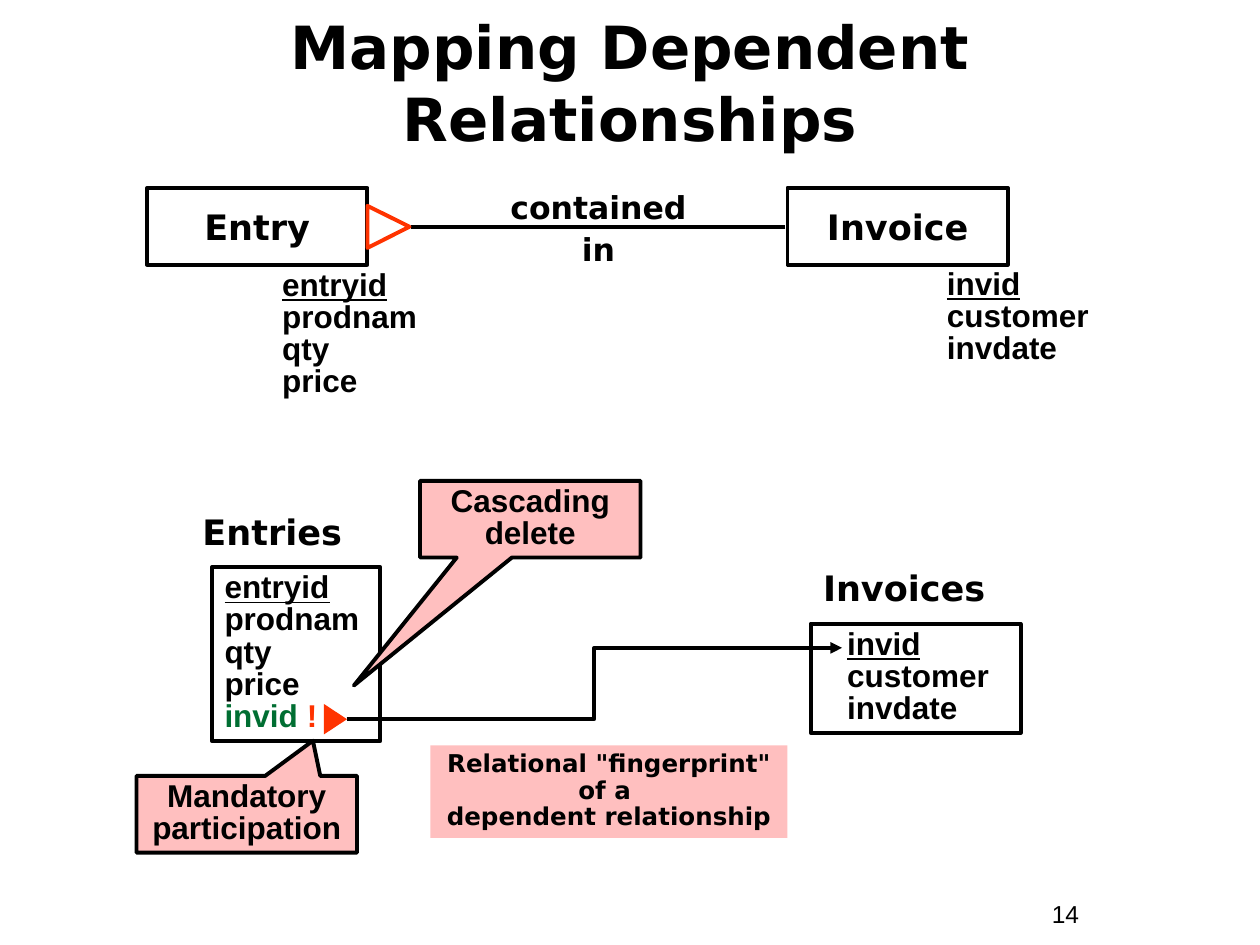
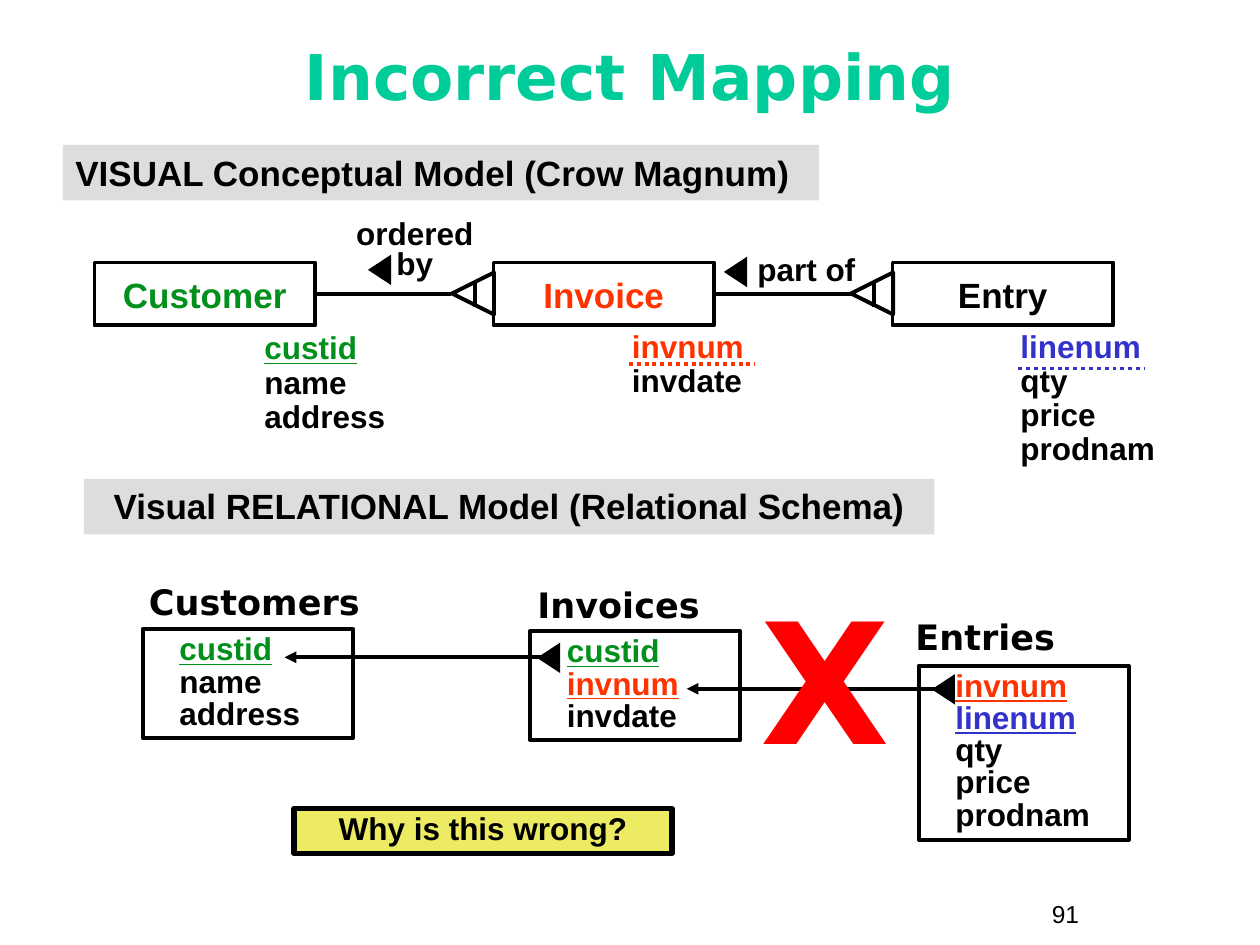
from dataclasses import dataclass

from lxml import etree
from pptx import Presentation, util as u
from pptx.dml.color import RGBColor
from pptx.enum import dml, shapes, text
from pptx.oxml import ns

CELL = u.Inches(10) / 120
BLACK = RGBColor(0x00, 0x00, 0x00)
MINT = RGBColor(0x00, 0xCC, 0x99)
GREEN = RGBColor(0x00, 0x90, 0x1B)
DARK_GREEN = RGBColor(0x00, 0x6E, 0x32)
ORANGE = RGBColor(0xFF, 0x33, 0x00)
RED = RGBColor(0xFF, 0x00, 0x00)
BLUE = RGBColor(0x33, 0x33, 0xCC)
PINK = RGBColor(0xFF, 0xBF, 0xBF)
YELLOW = RGBColor(0xED, 0xEA, 0x63)
GREY = RGBColor(0xDD, 0xDD, 0xDD)
SANS, DISPLAY = "Arial", "DejaVu Sans"
CENTER = text.PP_ALIGN.CENTER
MIDDLE = text.MSO_ANCHOR.MIDDLE
KIND = shapes.MSO_SHAPE
RIGHT, LEFT = 90, 270


@dataclass
class Box:
    """A rectangle on a grid of 120 columns by 90 rows."""
    left: float
    top: float
    width: float
    height: float

    def inner(self, column, row, width, height):
        """Return a box placed from this box's top left corner."""
        return Box(self.left + column, self.top + row, width, height)

    def point(self, column, row):
        """Return a grid point measured from this box's top left corner."""
        return self.left + column, self.top + row

    def emu(self):
        """Return the box as slide lengths."""
        return [grid(n) for n in (self.left, self.top, self.width, self.height)]


@dataclass
class Field:
    """A piece of text with its own colour, underlined when it is a key."""
    name: str
    colour: RGBColor = BLACK
    key: bool = False


def grid(cells):
    """Turn grid cells into a slide length."""
    return u.Emu(round(cells * CELL))


def write(frame, lines, size=18, face=SANS, colour=BLACK, bold=True, align=None,
          spacing=1.0, indent=0, anchor=text.MSO_ANCHOR.TOP):
    """Fill a text frame; a line is a string, a Field or a list of Fields."""
    frame.word_wrap = True
    frame.auto_size = text.MSO_AUTO_SIZE.NONE
    frame.vertical_anchor = anchor
    for index, line in enumerate(lines):
        paragraph = frame.add_paragraph() if index else frame.paragraphs[0]
        paragraph.alignment = align or text.PP_ALIGN.LEFT
        paragraph.line_spacing = spacing
        paragraph.space_before = u.Pt(0)
        if indent:
            properties = paragraph._p.get_or_add_pPr()
            properties.set("marL", str(grid(indent)))
            properties.set("indent", "0")
        for piece in line if isinstance(line, list) else [line]:
            field = Field(piece, colour) if isinstance(piece, str) else piece
            run = paragraph.add_run()
            run.text = field.name
            run.font.size, run.font.name = u.Pt(size), face
            run.font.bold, run.font.underline = bold, field.key
            run.font.color.rgb = field.colour


def label(slide, box, *lines, **style):
    """Add free-standing text."""
    write(slide.shapes.add_textbox(*box.emu()).text_frame, lines, **style)


def panel(slide, box, *lines, kind=KIND.RECTANGLE, fill=None, outline=BLACK,
          weight=2.25, turn=0, tip=(), **style):
    """Add a preset shape, with text if any is given."""
    shape = slide.shapes.add_shape(kind, *box.emu())
    shape.shadow.inherit = False
    shape.rotation = turn
    for index, share in enumerate(tip):
        shape.adjustments[index] = share
    if fill is None:
        shape.fill.background()
    else:
        shape.fill.solid()
        shape.fill.fore_color.rgb = fill
    if outline is None:
        shape.line.fill.background()
    else:
        shape.line.color.rgb = outline
        shape.line.width = u.Pt(weight)
    if lines:
        write(shape.text_frame, lines, **style)


def wire(slide, start, end, colour=BLACK, elbow=False, arrow=False, dotted=False):
    """Join two grid points with a connector."""
    kind = shapes.MSO_CONNECTOR.ELBOW if elbow else shapes.MSO_CONNECTOR.STRAIGHT
    link = slide.shapes.add_connector(kind, *(grid(n) for n in (*start, *end)))
    link.line.color.rgb = colour
    link.line.width = u.Pt(2.25)
    if dotted:
        link.line.dash_style = dml.MSO_LINE.ROUND_DOT
    if arrow:
        etree.SubElement(link.line._get_or_add_ln(), ns.qn("a:tailEnd"), type="triangle")
    etree.SubElement(link._element.spPr, ns.qn("a:effectLst"))


def pointer(slide, corner, turn=LEFT, colour=BLACK):
    """Add a small solid triangle."""
    panel(slide, Box(*corner, 2.9, 2.2), kind=KIND.ISOSCELES_TRIANGLE,
          fill=colour, outline=None, turn=turn)


def entity(slide, box, name, fields, offset, spacing, **style):
    """Draw an entity with its attributes hanging below it."""
    panel(slide, box, name, size=20, align=CENTER, anchor=MIDDLE, **style)
    label(slide, box.inner(*offset, 17, 3.1 * len(fields) + 1.1), *fields, spacing=spacing)


def relation(slide, corner, name, fields, heading, width=20, indent=2.3):
    """Draw a table of the schema with its name above it."""
    box = Box(*corner, width, 3.1 * len(fields) + 1.1)
    label(slide, box.inner(*heading, 25.8, 5.3), name, size=20, face=DISPLAY)
    panel(slide, box, *fields, spacing=0.85, indent=indent)


def callout(slide, box, words, tip):
    """Draw a pink speech box whose tip is given in shares of the box."""
    panel(slide, box, words, kind=KIND.RECTANGULAR_CALLOUT, fill=PINK, tip=tip,
          align=CENTER, spacing=0.85)


def band(slide, box, words, align=None):
    """Draw a grey section band."""
    panel(slide, box, words, fill=GREY, outline=None, size=20, align=align)


def titled_slide(deck, title, page, top, size, colour):
    """Add a slide with the shared title and page number."""
    slide = deck.slides.add_slide(deck.slide_layouts[5])
    heading = slide.shapes.title
    heading.left, heading.top, heading.width, heading.height = Box(4, top, 112, 11).emu()
    write(heading.text_frame, [title], size=size, face=DISPLAY, colour=colour,
          align=CENTER, anchor=MIDDLE)
    label(slide, Box(99, 85, 11, 4.1), page, size=14, bold=False)
    return slide


def dependent_entities(slide, area):
    """Draw the two entities and the dependency between them."""
    for column, name, offset, fields in (
            (61, "Invoice", (14, 7.2), [Field("invid", key=True), "customer", "invdate"]),
            (0, "Entry", (11.7, 7.3),
             [Field("entryid", key=True), "prodnam", "qty", "price"])):
        entity(slide, area.inner(column, 0, 21, 7.3), name, fields, offset, 0.85, face=DISPLAY)
    wire(slide, area.point(60.8, 3.7), area.point(25.1, 3.7))
    label(slide, area.inner(33, -0.9, 20, 9.1), "contained in", face=DISPLAY,
          align=CENTER, spacing=1.1)
    panel(slide, area.inner(21, 1.7, 4, 4), kind=KIND.FLOWCHART_EXTRACT,
          outline=ORANGE, turn=RIGHT)


def dependent_schema(slide, area):
    """Draw the two tables, their foreign key and the remarks on it."""
    relation(slide, area.point(7.2, 8.2), "Entries",
             [Field("entryid", key=True), "prodnam", "qty", "price",
              [Field("invid ", DARK_GREEN), Field("!", ORANGE)]],
             heading=(-2.1, -6), width=16, indent=0)
    relation(slide, area.point(64.2, 13.6), "Invoices",
             [Field("invid", key=True), "customer", "invdate"], heading=(0, -6))
    wire(slide, area.point(20, 22.7), area.point(67.2, 15.9), elbow=True, arrow=True)
    pointer(slide, area.point(17.5, 21.6), RIGHT, ORANGE)
    callout(slide, area.inner(0, 28.1, 21, 7.3), "Mandatory participation", (0.3, -0.96))
    callout(slide, area.inner(27, 0, 21, 7.3), "Cascading delete", (-0.8, 2.17))
    panel(slide, area.inner(28, 25.2, 34, 8.8), 'Relational "fingerprint" of a ',
          "dependent relationship", fill=PINK, outline=None, size=14, face=DISPLAY,
          align=CENTER, spacing=0.9)


def crows_foot(slide, box):
    """Draw the link that reaches an entity from the one on its left."""
    wire(slide, box.point(-17, 3), box.point(-4, 3))
    panel(slide, box.inner(-3.95, 0.95, 4, 4), kind=KIND.FLOWCHART_EXTRACT, turn=LEFT)
    wire(slide, box.point(-1.8, 1.8), box.point(-1.8, 4.2))


def entity_chain(slide, area):
    """Draw three entities at equal steps and the links between them."""
    customer, invoice, entry = [area.inner(38 * step, 0, 21, 6) for step in range(3)]
    entity(slide, customer, "Customer", [Field("custid", GREEN, True), "name", "address"],
           (15, 6.1), 0.9, colour=GREEN)
    entity(slide, invoice, "Invoice", [Field("invnum", ORANGE), "invdate"],
           (12, 6), 0.9, colour=ORANGE)
    entity(slide, entry, "Entry", [Field("linenum", BLUE), "qty", "price", "prodnam"],
           (11, 6), 0.9)
    for box, column, row, colour in ((invoice, 12.9, 9.7, ORANGE), (entry, 12, 10.1, BLUE)):
        crows_foot(slide, box)
        wire(slide, box.point(column, row), box.point(column + 12, row), colour, dotted=True)
    label(slide, invoice.inner(-14.5, -4.5, 14, 7), "ordered", "by", align=CENTER, spacing=0.8)
    pointer(slide, invoice.point(-12.3, -0.4))
    label(slide, entry.inner(-15.2, -1.8, 14, 4.8), "part of", align=CENTER)
    pointer(slide, entry.point(-16.4, -0.2))


def wrong_schema(slide, area):
    """Draw the three tables, their foreign keys and the crossed-out link."""
    relation(slide, area.point(0, 0), "Customers",
             [Field("custid", GREEN, True), "name", "address"], heading=(-0.6, -5.2))
    relation(slide, area.point(36.9, 0.2), "Invoices",
             [Field("custid", GREEN, True), Field("invnum", ORANGE, True), "invdate"],
             heading=(-0.5, -5.1))
    relation(slide, area.point(73.9, 3.5), "Entries",
             [Field("invnum", ORANGE, True), Field("linenum", BLUE, True),
              "qty", "price", "prodnam"], heading=(-1.5, -5.4))
    for start, end, row in ((38.7, 13.5, 2.7), (76.3, 51.8, 5.7)):
        wire(slide, area.point(start, row), area.point(end, row), arrow=True)
        pointer(slide, area.point(start - 1.5, row - 1.05))
    label(slide, area.inner(56.5, -3.4, 17, 18.5), "X", size=96, face=DISPLAY, colour=RED,
          align=CENTER, spacing=0.9)
    panel(slide, area.inner(14.4, 17.1, 36, 4.3), "Why is this wrong?", fill=YELLOW,
          weight=3, align=CENTER, spacing=0.85)


def main():
    """Build and save the deck."""
    deck = Presentation()
    deck.slide_width, deck.slide_height = grid(120), grid(90)

    dependent = titled_slide(deck, "Mapping Dependent Relationships", "14", 2.3, 34, BLACK)
    dependent_entities(dependent, Box(14, 17.9, 92, 21))
    dependent_schema(dependent, Box(13, 45.8, 85, 36))

    incorrect = titled_slide(deck, "Incorrect Mapping", "91", 1.7, 36, MINT)
    band(incorrect, Box(6, 13.8, 72, 5.3), "VISUAL Conceptual Model (Crow Magnum)")
    entity_chain(incorrect, Box(9, 25, 97, 20))
    band(incorrect, Box(8, 45.6, 81, 5.3), "Visual RELATIONAL Model (Relational Schema)", CENTER)
    wrong_schema(incorrect, Box(13.6, 59.9, 94, 22))

    deck.save("out.pptx")


if __name__ == "__main__":
    main()
